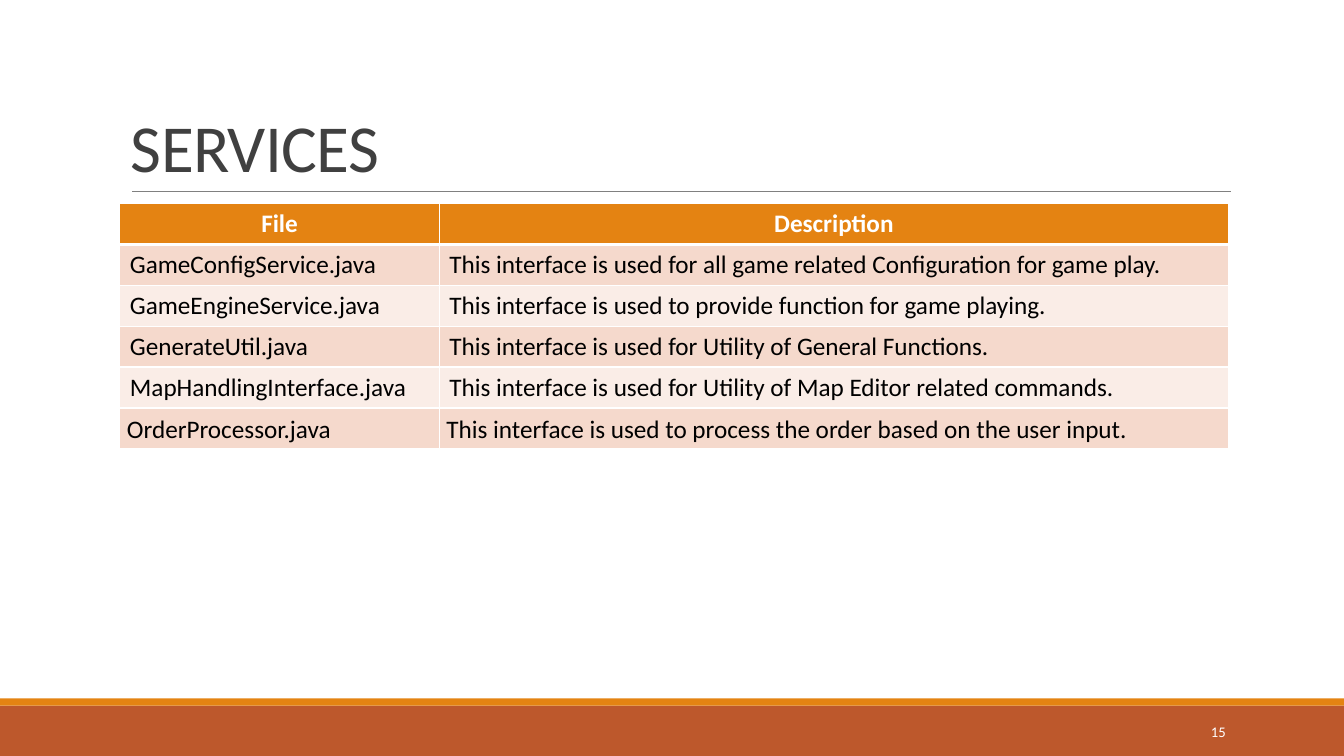
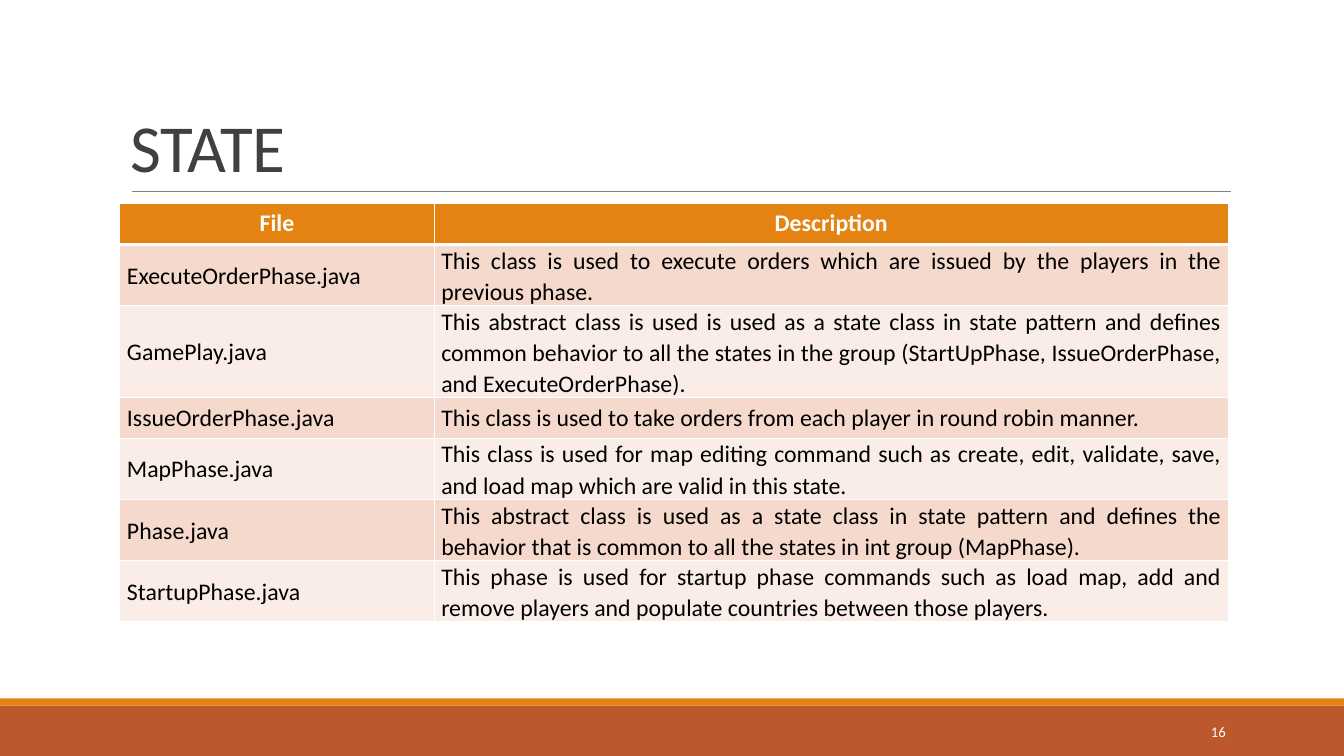
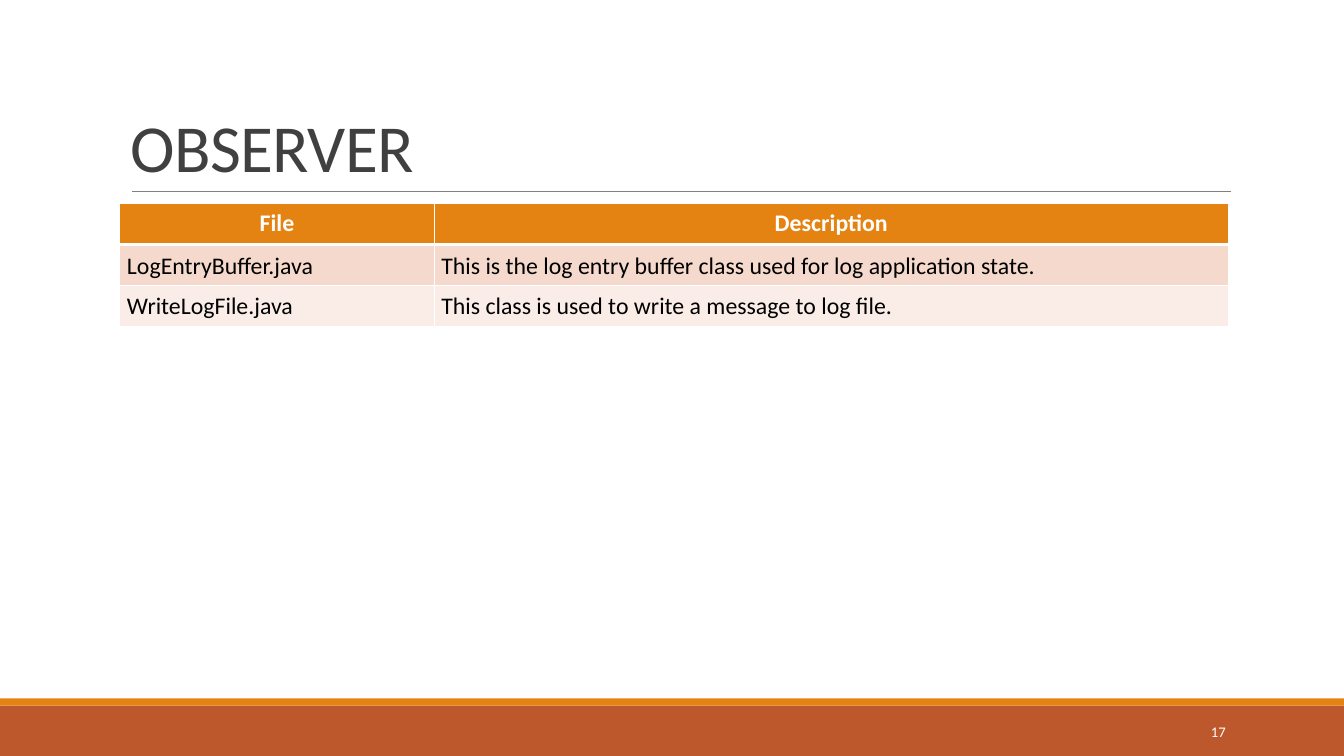
from lxml.etree import SubElement as Sub
from pptx import Presentation
from pptx.dml.color import RGBColor as Rgb
from pptx.enum.shapes import MSO_CONNECTOR as Link, MSO_SHAPE as Kind
from pptx.enum.text import MSO_ANCHOR as Anchor, PP_ALIGN as Align
from pptx.oxml.ns import qn
from pptx.util import Cm, Pt

FONT = "Calibri"
INK = {
    "band": "BD582C",
    "head": "E48312",
    "odd": "F5D9CC",
    "even": "FAEDE7",
    "rule": "808080",
    "title": "404040",
    "text": "000000",
    "white": "FFFFFF",
}
WIDE, HIGH = 33.87, 19.05
TABLE_W, ROW_H = 27.94, 1.03
HEADS = ("File", "Description")

# Title, page, text size, width of first column, roomy rows, tight rows
PAGES = [
    ("SERVICES", 15, 18, 8.05, [
        ("GameConfigService.java", "This interface is used for all game related Configuration for game play."),
        ("GameEngineService.java", "This interface is used to provide function for game playing."),
        ("GenerateUtil.java", "This interface is used for Utility of General Functions."),
        ("MapHandlingInterface.java", "This interface is used for Utility of Map Editor related commands."),
    ], [
        ("OrderProcessor.java", "This interface is used to process the order based on the user input."),
    ]),
    ("STATE", 16, 17, 7.92, [], [
        ("ExecuteOrderPhase.java",
         "This class is used to execute orders which are issued by the players in the previous phase."),
        ("GamePlay.java",
         "This abstract class is used is used as a state class in state pattern and defines common "
         "behavior to all the states in the group (StartUpPhase, IssueOrderPhase, and ExecuteOrderPhase)."),
        ("IssueOrderPhase.java", "This class is used to take orders from each player in round robin manner."),
        ("MapPhase.java",
         "This class is used for map editing command such as create, edit, validate, save, "
         "and load map which are valid in this state."),
        ("Phase.java",
         "This abstract class is used as a state class in state pattern and defines the behavior "
         "that is common to all the states in int group (MapPhase)."),
        ("StartupPhase.java",
         "This phase is used for startup phase commands such as load map, add and remove players "
         "and populate countries between those players."),
    ]),
    ("OBSERVER", 17, 17, 7.92, [], [
        ("LogEntryBuffer.java", "This is the log entry buffer class used for log application state."),
        ("WriteLogFile.java", "This class is used to write a message to log file."),
    ]),
]


def color(name):
    return Rgb.from_string(INK[name])


def write(frame, text, size, ink, bold=False, align=Align.LEFT):
    """Fill a text frame with one styled paragraph and return it."""
    frame.word_wrap = True
    frame.text = text
    para = frame.paragraphs[0]
    para.alignment = align
    font = para.runs[0].font
    font.name, font.size, font.bold = FONT, Pt(size), bold
    font.color.rgb = color(ink)
    return para


def add_text(slide, box, anchor, *style, **more):
    frame = slide.shapes.add_textbox(*map(Cm, box)).text_frame
    para = write(frame, *style, **more)
    frame.vertical_anchor = anchor
    return para


def add_band(slide, top, high, ink):
    band = slide.shapes.add_shape(Kind.RECTANGLE, 0, Cm(top), Cm(WIDE), Cm(high))
    band.shadow.inherit = False
    band.fill.solid()
    band.fill.fore_color.rgb = color(ink)
    band.line.fill.background()


def add_rule(slide, left, right, top):
    rule = slide.shapes.add_connector(Link.STRAIGHT, Cm(left), Cm(top), Cm(right), Cm(top))
    rule.line.color.rgb = color("rule")
    rule.line.width = Pt(0.5)
    Sub(rule._element.spPr, qn("a:effectLst"))


def add_frame(slide, title, page):
    """Draw the bands, rule, title and page number that every slide has."""
    add_band(slide, 17.78, 1.27, "band")
    add_band(slide, 17.6, 0.18, "head")
    add_rule(slide, 3.33, 31.01, 4.83)
    para = add_text(slide, (3.05, 0.79, 27.94, 4.04), Anchor.BOTTOM, title, 48, "title")
    para.line_spacing = 0.85
    para.runs[0].font._element.set("spc", "-50")
    add_text(slide, (27.51, 17.93, 3.63, 1.02), Anchor.MIDDLE,
             str(page), 10.5, "white", align=Align.RIGHT)


def set_edges(cell, top, base):
    """Give a cell white borders; top and base are widths in points."""
    props = cell._tc.get_or_add_tcPr()
    for side, width in zip("LRTB", (1, 1, top, base)):
        line = Sub(props, qn(f"a:ln{side}"), w=str(Pt(width)))
        fill = Sub(line, qn("a:solidFill"))
        Sub(fill, qn("a:srgbClr"), val=INK["white"])


def tighten(cell, para):
    cell.vertical_anchor = Anchor.MIDDLE
    cell.margin_left = cell.margin_right = Cm(0.18)
    cell.margin_top = cell.margin_bottom = 0
    para.line_spacing = 1.07
    para.space_before = para.space_after = Pt(3)


def add_grid(slide, size, first, roomy, tight):
    rows = [HEADS, *roomy, *tight]
    grid = slide.shapes.add_table(len(rows), 2, Cm(3.02), Cm(5.13),
                                  Cm(TABLE_W), Cm(ROW_H * len(rows))).table
    grid.horz_banding = False
    for col, width in zip(grid.columns, (first, TABLE_W - first)):
        col.width = Cm(width)
    for r, row in enumerate(rows):
        grid.rows[r].height = Cm(ROW_H)
        head, snug = r == 0, r > len(roomy)
        shade = "head" if head else "odd" if r % 2 else "even"
        for c, text in enumerate(row):
            cell = grid.cell(r, c)
            set_edges(cell, 3 if r == 1 else 1, 3 if head else 1)
            cell.fill.solid()
            cell.fill.fore_color.rgb = color(shade)
            align = Align.CENTER if head else Align.JUSTIFY if snug and c else Align.LEFT
            para = write(cell.text_frame, text, size, "white" if head else "text", head, align)
            if snug:
                tighten(cell, para)


def main():
    deck = Presentation()
    deck.slide_width, deck.slide_height = Cm(WIDE), Cm(HIGH)
    for title, page, *grid in PAGES:
        slide = deck.slides.add_slide(deck.slide_layouts[6])
        add_frame(slide, title, page)
        add_grid(slide, *grid)
    deck.save("out.pptx")


if __name__ == "__main__":
    main()
